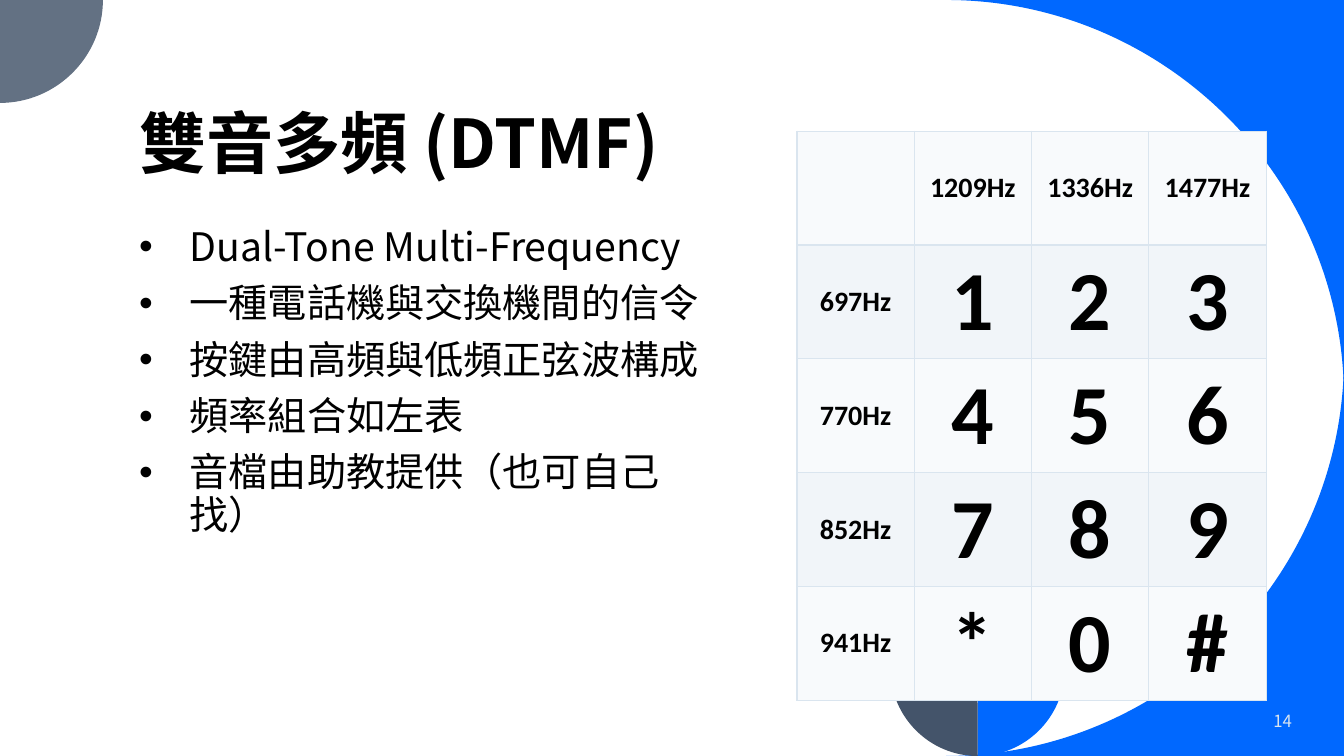
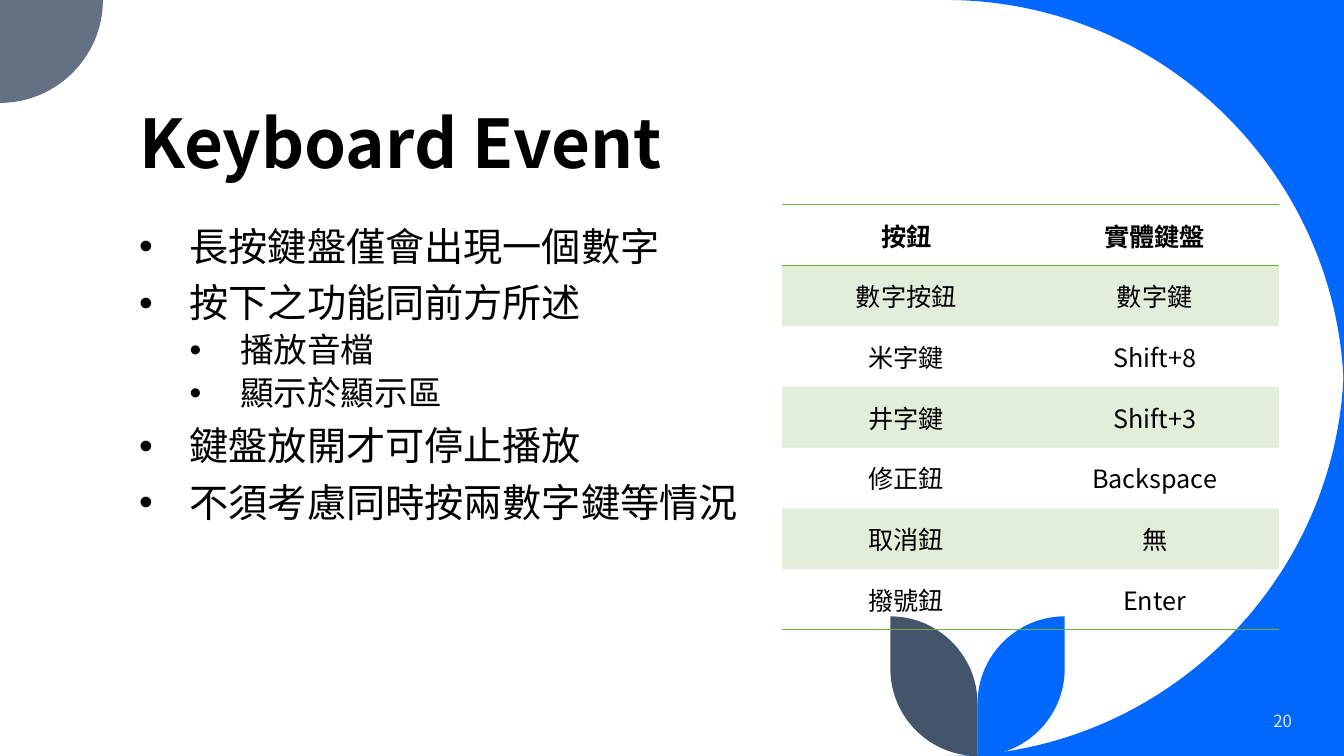
from dataclasses import dataclass

from lxml.etree import SubElement
from pptx import Presentation
from pptx.dml.color import RGBColor
from pptx.enum.text import MSO_ANCHOR, MSO_AUTO_SIZE, PP_ALIGN
from pptx.oxml.ns import qn
from pptx.util import Emu, Pt

PX = 9525
PAGE_W, PAGE_H = 1280, 720
ROUNDNESS = 0.55
NO_STYLE = "{2D5ABB26-0587-4C30-8999-92F81FD0307C}"


@dataclass(frozen=True)
class Theme:
    font: str = "Noto Sans CJK TC"
    key_font: str = "Calibri"
    ink: str = "000000"
    blue: str = "0068FF"
    grey: str = "637183"
    slate: str = "44546A"
    pale: str = "DAE5EF"
    row_light: str = "F8FAFC"
    row_dark: str = "F1F5F9"
    green: str = "70AD47"
    title: int = 48
    body: tuple = (28, 24)
    space_before: tuple = (10, 5)
    key: int = 60
    frequency: int = 20
    event: int = 18
    page: int = 12


THEME = Theme()

TITLE_BOX = (123, 40, 1026, 139)
PAGE_BOX = (1066, 667, 174, 38)
BULLET_INDENT = 48

DTMF = {
    "title": "雙音多頻 (DTMF)",
    "page": "14",
    "body_box": (123, 212, 566, 456),
    "bullets": [
        (0, "Dual-Tone Multi-Frequency"),
        (0, "一種電話機與交換機間的信令"),
        (0, "按鍵由高頻與低頻正弦波構成"),
        (0, "頻率組合如左表"),
        (0, "音檔由助教提供（也可自己找）"),
    ],
    "table_box": (759, 125, 447, 542),
    "rows": [
        ("", "1209Hz", "1336Hz", "1477Hz"),
        ("697Hz", "1", "2", "3"),
        ("770Hz", "4", "5", "6"),
        ("852Hz", "7", "8", "9"),
        ("941Hz", "*", "0", "#"),
    ],
}
KEYBOARD = {
    "title": "Keyboard Event",
    "page": "20",
    "body_box": (123, 212, 600, 456),
    "bullets": [
        (0, "長按鍵盤僅會出現一個數字"),
        (0, "按下之功能同前方所述"),
        (1, "播放音檔"),
        (1, "顯示於顯示區"),
        (0, "鍵盤放開才可停止播放"),
        (0, "不須考慮同時按兩數字鍵等情況"),
    ],
    "table_box": (745, 195, 473, 405),
    "rows": [
        ("按鈕", "實體鍵盤"),
        ("數字按鈕", "數字鍵"),
        ("米字鍵", "Shift+8"),
        ("井字鍵", "Shift+3"),
        ("修正鈕", "Backspace"),
        ("取消鈕", "無"),
        ("撥號鈕", "Enter"),
    ],
}


def emu(lengths):
    return [Emu(round(length * PX)) for length in lengths]


def place(shape, box):
    shape.left, shape.top, shape.width, shape.height = emu(box)


def style_runs(paragraph, size, color=THEME.ink, bold=False, font=THEME.font):
    for run in paragraph.runs:
        run.font.size = Pt(size)
        run.font.bold = bold
        run.font.color.rgb = RGBColor.from_string(color)
        run.font.name = font
        SubElement(run.font._element, qn("a:ea"), typeface=font)


def backdrop_outlines():
    """Yield colour, start and steps: (end,) is a line, (corner, end) a quarter arc."""
    sweep, disk = 379, 98
    sweep_x, sweep_y = PAGE_W - sweep, PAGE_H - sweep
    top_right, bottom_right = (PAGE_W, 0), (PAGE_W, PAGE_H)
    yield THEME.blue, (sweep_x, 0), [(top_right, (PAGE_W, sweep)), (top_right,)]
    yield THEME.blue, (PAGE_W, sweep_y), [(bottom_right, (sweep_x, PAGE_H)),
                                          (bottom_right,)]
    yield THEME.grey, (disk, 0), [((disk, disk), (0, disk)), ((0, 0),)]

    stem_x, leaf_w, leaf_top = 931, 83, 587
    for color, side in ((THEME.blue, 1), (THEME.slate, -1)):
        tip_x = stem_x + side * leaf_w
        yield color, (tip_x, leaf_top), [
            ((tip_x, PAGE_H - leaf_w),),
            ((tip_x, PAGE_H), (stem_x, PAGE_H)),
            ((stem_x, leaf_top + leaf_w),),
            ((stem_x, leaf_top), (tip_x, leaf_top)),
        ]


def toward(point, corner):
    return tuple(p + ROUNDNESS * (c - p) for p, c in zip(point, corner))


def build_outline(slide, start, steps):
    """Build line segments, then merge each arc's three into one Bézier curve."""
    points, position = [], start
    for *corner, end in steps:
        if corner:
            points += [toward(position, corner[0]), toward(end, corner[0])]
        points.append(end)
        position = end
    builder = slide.shapes.build_freeform(*emu(start), scale=1.0)
    builder.add_line_segments([emu(point) for point in points], close=True)
    outline = builder.convert_to_shape()

    segments = iter(list(outline._element.iter(qn("a:lnTo"))))
    for *corner, _ in steps:
        first = next(segments)
        if not corner:
            continue
        curve = first.makeelement(qn("a:cubicBezTo"))
        first.addprevious(curve)
        for segment in (first, next(segments), next(segments)):
            curve.append(segment[0])
            segment.getparent().remove(segment)
    return outline


def add_backdrop(slide):
    """Draw the shared outlines, then move them to the slide's layout."""
    layout_tree = slide.slide_layout.shapes._spTree
    for order, (color, start, steps) in enumerate(backdrop_outlines()):
        outline = build_outline(slide, start, steps)
        outline.shadow.inherit = False
        outline.fill.solid()
        outline.fill.fore_color.rgb = RGBColor.from_string(color)
        outline.line.fill.background()
        outline._element.nvSpPr.cNvPr.set("id", str(100 + order))
        layout_tree.insert(2 + order, outline._element)


def add_title(slide, text):
    title = slide.shapes.title
    place(title, TITLE_BOX)
    frame = title.text_frame
    frame.text = text
    frame.auto_size = MSO_AUTO_SIZE.NONE
    frame.vertical_anchor = MSO_ANCHOR.BOTTOM
    heading = frame.paragraphs[0]
    heading.alignment = PP_ALIGN.LEFT
    heading.line_spacing = 0.9
    style_runs(heading, THEME.title, bold=True)


def add_bullets(slide, box, bullets):
    body = slide.placeholders[1]
    place(body, box)
    frame = body.text_frame
    frame.text = "\n".join(text for _, text in bullets)
    frame.auto_size = MSO_AUTO_SIZE.NONE
    frame.vertical_anchor = MSO_ANCHOR.TOP
    for order, (paragraph, (level, _)) in enumerate(zip(frame.paragraphs, bullets)):
        paragraph.level = level
        paragraph.line_spacing = 0.9
        paragraph.space_before = Pt(THEME.space_before[level] if order else 0)
        properties = paragraph._p.get_or_add_pPr()
        properties.set("marL", str(BULLET_INDENT * (level + 1) * PX))
        properties.set("indent", str(-BULLET_INDENT * PX))
        SubElement(properties, qn("a:buFont"), typeface="Arial")
        SubElement(properties, qn("a:buChar"), char="•")
        style_runs(paragraph, THEME.body[level])


def add_page_number(slide, number):
    frame = slide.shapes.add_textbox(*emu(PAGE_BOX)).text_frame
    frame.word_wrap = True
    frame.vertical_anchor = MSO_ANCHOR.MIDDLE
    frame.text = number
    frame.paragraphs[0].alignment = PP_ALIGN.RIGHT
    style_runs(frame.paragraphs[0], THEME.page, THEME.pale)


def set_borders(cell, sides, color):
    """Rule the given sides, a string made of L, R, T and B in that order."""
    properties = cell._tc.get_or_add_tcPr()
    for side in sides:
        line = SubElement(properties, qn(f"a:ln{side}"), w=str(Pt(1)))
        fill = SubElement(line, qn("a:solidFill"))
        SubElement(fill, qn("a:srgbClr"), val=color)


def fill_cell(cell, color, opacity=100):
    cell.fill.solid()
    cell.fill.fore_color.rgb = RGBColor.from_string(color)
    if opacity < 100:
        tint = cell._tc.tcPr.find(f"{qn('a:solidFill')}/{qn('a:srgbClr')}")
        SubElement(tint, qn("a:alpha"), val=str(opacity * 1000))


def format_key(cell, row, column, last_row):
    is_key = row > 0 and column > 0
    set_borders(cell, "LRTB", THEME.pale)
    fill_cell(cell, THEME.row_dark if row % 2 else THEME.row_light)
    style_runs(cell.text_frame.paragraphs[0], THEME.key if is_key else THEME.frequency,
               bold=True, font=THEME.key_font)


def format_event(cell, row, column, last_row):
    sides = {0: "TB", last_row: "B"}.get(row, "")
    set_borders(cell, sides, THEME.green)
    if row % 2:
        fill_cell(cell, THEME.green, opacity=20)
    else:
        cell.fill.background()
    style_runs(cell.text_frame.paragraphs[0], THEME.event, bold=row == 0)


def add_grid(slide, box, rows, format_cell):
    grid = slide.shapes.add_table(len(rows), len(rows[0]), *emu(box)).table
    grid.first_row = grid.horz_banding = False
    grid._tbl.tblPr.find(qn("a:tableStyleId")).text = NO_STYLE
    for r, texts in enumerate(rows):
        for c, text in enumerate(texts):
            cell = grid.cell(r, c)
            cell.text = text
            cell.vertical_anchor = MSO_ANCHOR.MIDDLE
            cell.text_frame.paragraphs[0].alignment = PP_ALIGN.CENTER
            format_cell(cell, r, c, len(rows) - 1)


def main():
    deck = Presentation()
    deck.slide_width, deck.slide_height = emu((PAGE_W, PAGE_H))
    layout = deck.slide_layouts[1]
    for content, format_cell in ((DTMF, format_key), (KEYBOARD, format_event)):
        slide = deck.slides.add_slide(layout)
        if len(deck.slides) == 1:
            add_backdrop(slide)
        add_title(slide, content["title"])
        add_bullets(slide, content["body_box"], content["bullets"])
        add_page_number(slide, content["page"])
        add_grid(slide, content["table_box"], content["rows"], format_cell)
    deck.save("out.pptx")


if __name__ == "__main__":
    main()
